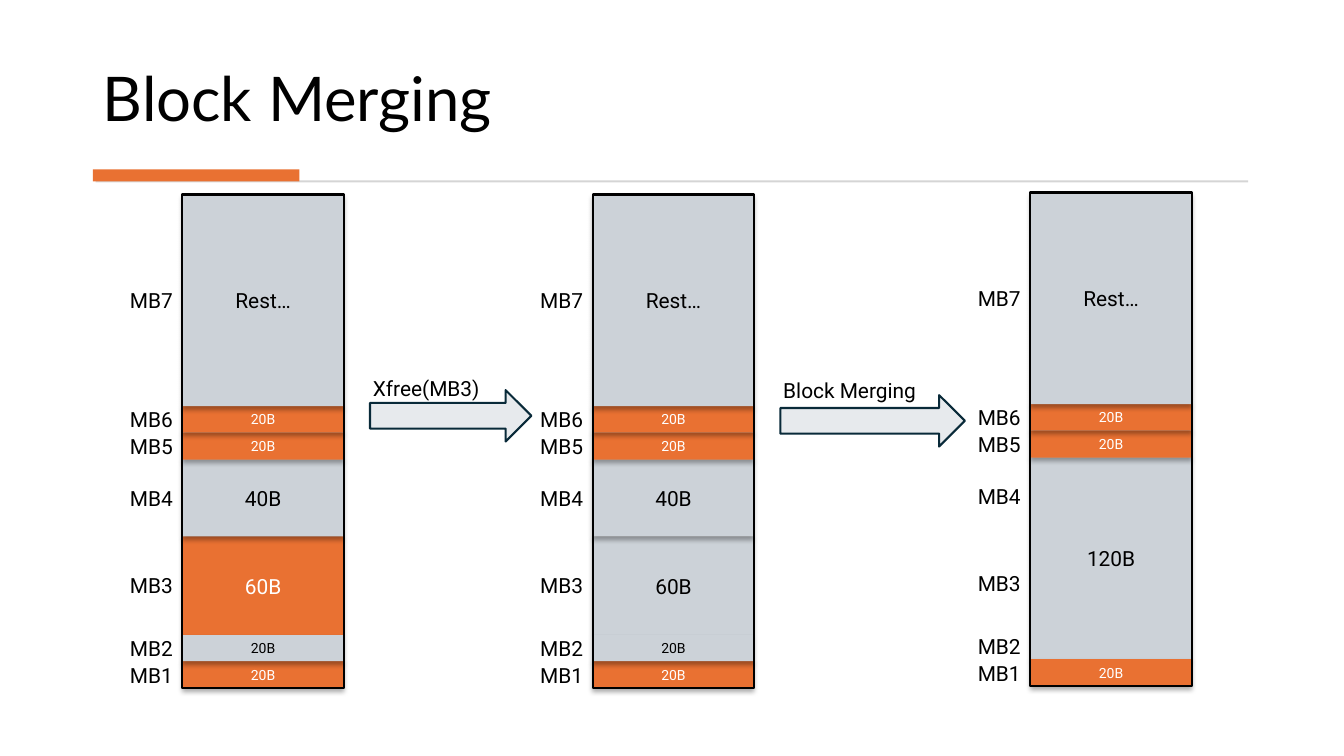
from dataclasses import dataclass

from lxml.etree import SubElement
from pptx import Presentation
from pptx.dml.color import RGBColor
from pptx.enum.shapes import MSO_SHAPE
from pptx.enum.text import MSO_ANCHOR, MSO_AUTO_SIZE, PP_ALIGN
from pptx.oxml.ns import qn
from pptx.util import Inches, Pt


@dataclass(frozen=True)
class Theme:
    title_font: str = "Lato"
    body_font: str = "Roboto"
    title_size: float = 44
    label_size: float = 14.9
    small_size: float = 10
    black: str = "000000"
    white: str = "FFFFFF"
    used: str = "E97132"
    free: str = "CCD2D8"
    rule: str = "D5D5D5"
    arrow_fill: str = "E7EAED"
    arrow_line: str = "092A39"


THEME = Theme()

BLOCK_WIDTH = 1.6
LABEL_WIDTH = 0.63
LABEL_HEIGHT = 0.35
# Distance of each block edge from the top of a stack, MB7 down to MB1
EDGES = [0, 2.1, 2.36, 2.63, 3.39, 4.37, 4.63, 4.9]

# Blocks in drawing order: highest MB, lowest MB, text, in use
INITIAL = [(3, 3, "60B", True), (1, 1, "20B", True), (2, 2, "20B", False),
           (4, 4, "40B", False), (5, 5, "20B", True), (6, 6, "20B", True),
           (7, 7, "Rest…", False)]
FREED = [(3, 3, "60B", False)] + INITIAL[1:]
MERGED = [(4, 2, "120B", False), INITIAL[1]] + INITIAL[4:]


def span(high, low):
    """Return top and bottom of the blocks MB<high> to MB<low>."""
    return EDGES[7 - high], EDGES[8 - low]


def write(tf, text, size, color, font=THEME.body_font, align=PP_ALIGN.LEFT):
    tf.word_wrap = True
    p = tf.paragraphs[0]
    p.alignment = align
    r = p.add_run()
    r.text = text
    r.font.name = font
    r.font.size = Pt(size)
    r.font.color.rgb = RGBColor.from_string(color)
    return p


def add_panel(shapes, kind, x, y, w, h, fill=None, line=None):
    sp = shapes.add_shape(kind, Inches(x), Inches(y), Inches(w), Inches(h))
    sp.shadow.inherit = False
    if fill:
        sp.fill.solid()
        sp.fill.fore_color.rgb = RGBColor.from_string(fill)
    else:
        sp.fill.background()
    if line:
        sp.line.color.rgb = RGBColor.from_string(line)
        sp.line.width = Pt(1.5)
    else:
        sp.line.fill.background()
    return sp


def add_shadow(sp):
    effects = sp._element.spPr.find(qn("a:effectLst"))
    shadow = SubElement(effects, qn("a:outerShdw"), blurRad=str(Pt(3.5)),
                        dist=str(Pt(2.2)), dir="5400000", rotWithShape="0")
    color = SubElement(shadow, qn("a:srgbClr"), val=THEME.black)
    SubElement(color, qn("a:alpha"), val="32000")


def add_label(shapes, text, x, y, w):
    tf = shapes.add_textbox(Inches(x), Inches(y), Inches(w), Inches(LABEL_HEIGHT)).text_frame
    tf.margin_right = 0
    write(tf, text, THEME.label_size, THEME.black)


def add_block(shapes, x, y, h, text, used):
    fill, color = (THEME.used, THEME.white) if used else (THEME.free, THEME.black)
    sp = add_panel(shapes, MSO_SHAPE.RECTANGLE, x, y, BLOCK_WIDTH, h, fill)
    add_shadow(sp)
    tf = sp.text_frame
    tf.margin_top = tf.margin_bottom = 0
    tf.vertical_anchor = MSO_ANCHOR.MIDDLE
    size = THEME.small_size if text == "20B" else THEME.label_size
    write(tf, text, size, color, align=PP_ALIGN.CENTER)


def add_stack(s, x, y, blocks):
    shapes = s.shapes.add_group_shape().shapes
    for high, low, text, used in blocks:
        top, bottom = span(high, low)
        add_block(shapes, x, y + top, bottom - top, text, used)
    add_panel(shapes, MSO_SHAPE.RECTANGLE, x, y, BLOCK_WIDTH, EDGES[-1], line=THEME.black)
    for number in range(1, 8):
        middle = y + sum(span(number, number)) / 2
        add_label(shapes, f"MB{number}", x - 0.62, middle - LABEL_HEIGHT / 2, LABEL_WIDTH)


def add_step(s, text, x, y, w, label_y, label_w):
    shapes = s.shapes.add_group_shape().shapes
    add_panel(shapes, MSO_SHAPE.RIGHT_ARROW, x, y, w, 0.51, THEME.arrow_fill, THEME.arrow_line)
    add_label(shapes, text, x - 0.07, label_y, label_w)


def add_title(s, text):
    sp = s.shapes.title
    sp.left, sp.top, sp.width, sp.height = map(Inches, (0.92, 0.28, 11.49, 1.11))
    tf = sp.text_frame
    tf.auto_size = MSO_AUTO_SIZE.NONE
    tf.vertical_anchor = MSO_ANCHOR.BOTTOM
    p = write(tf, text, THEME.title_size, THEME.black, THEME.title_font)
    p.line_spacing = 0.9
    add_panel(s.shapes, MSO_SHAPE.RECTANGLE, 0.95, 1.79, 11.43, 0.02, THEME.rule)
    add_panel(s.shapes, MSO_SHAPE.RECTANGLE, 0.92, 1.68, 2.05, 0.12, THEME.used)


def main():
    prs = Presentation()
    prs.slide_width, prs.slide_height = Inches(13.33), Inches(7.5)
    s = prs.slides.add_slide(prs.slide_layouts[5])
    add_title(s, "Block Merging")
    add_stack(s, 1.81, 1.93, INITIAL)
    add_step(s, "Xfree(MB3)", 3.67, 3.87, 1.6, 3.68, 1.28)
    add_stack(s, 5.88, 1.93, FREED)
    add_step(s, "Block Merging", 7.74, 3.92, 1.83, 3.7, 1.76)
    add_stack(s, 10.22, 1.91, MERGED)
    prs.save("out.pptx")


if __name__ == "__main__":
    main()
